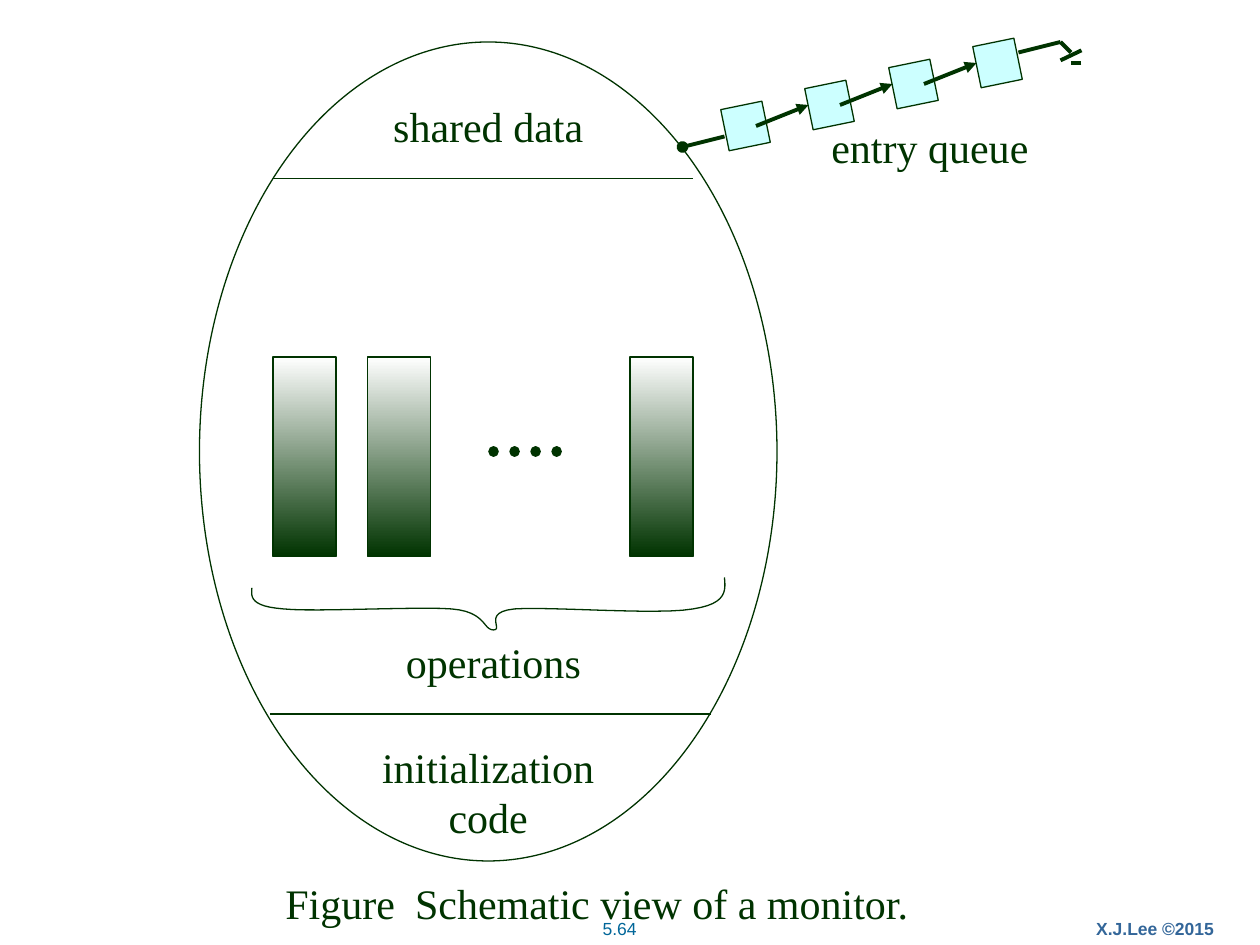
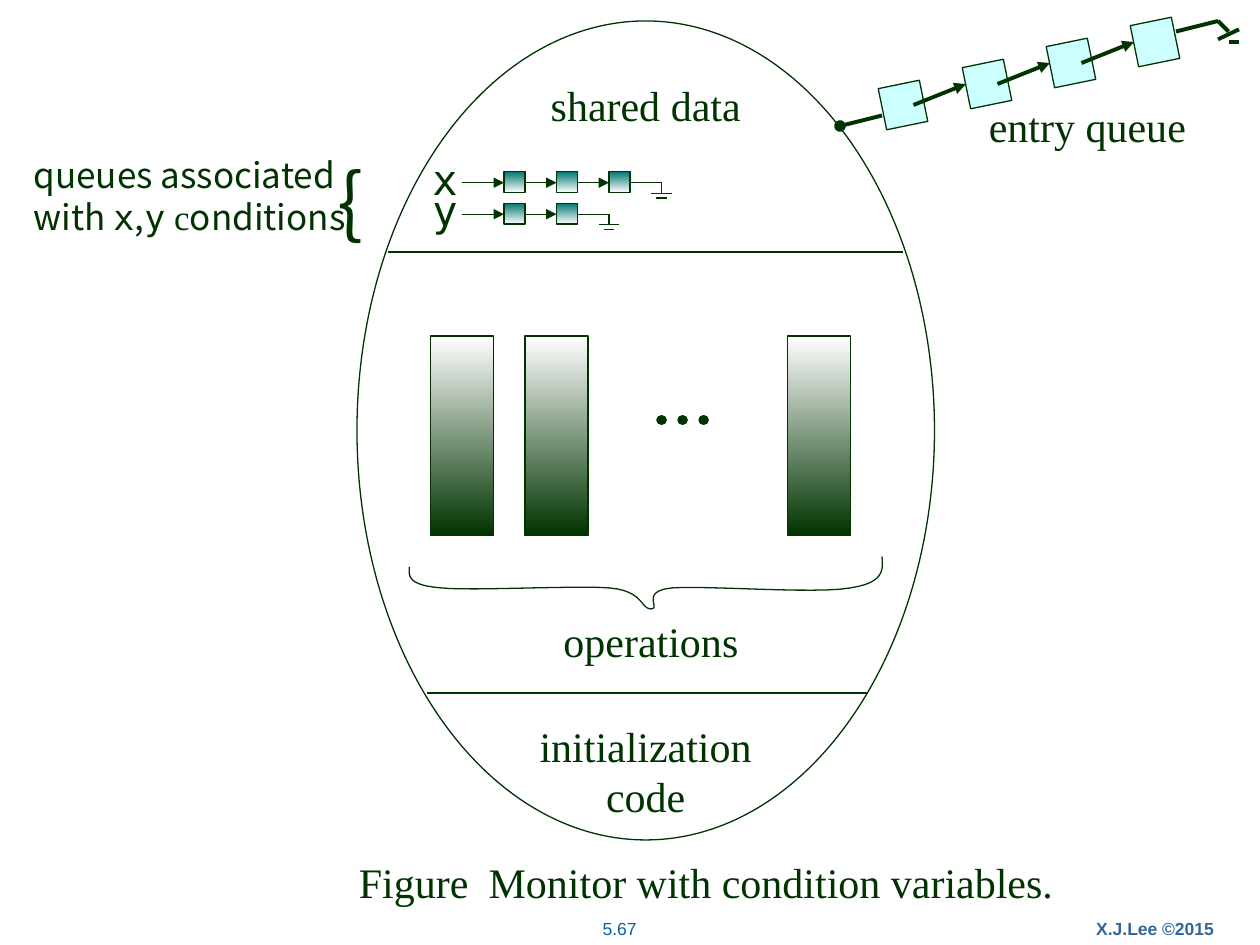
from lxml import etree
from pptx import Presentation
from pptx.dml.color import RGBColor
from pptx.enum.dml import MSO_LINE
from pptx.enum.shapes import MSO_CONNECTOR as Connector, MSO_SHAPE as Preset
from pptx.enum.text import PP_ALIGN as Align
from pptx.oxml.ns import qn
from pptx.util import Inches, Pt

GREEN = RGBColor(0x00, 0x33, 0x00)
WHITE = RGBColor(0xFF, 0xFF, 0xFF)
CYAN = RGBColor(0xCC, 0xFF, 0xFF)
TEAL = RGBColor(0x00, 0x75, 0x72)
COPYRIGHT_BLUE = RGBColor(0x33, 0x66, 0x99)
NUMBER_BLUE = RGBColor(0x00, 0x66, 0x99)

SERIF = "Times New Roman"
SANS = "Noto Sans CJK SC"
MONO = "DejaVu Sans Mono"
LABEL = {"name": SERIF, "size": Pt(24)}
FOOTER = {"name": "Arial", "size": Pt(10)}

MONITOR_SIZE = (55, 78)
BRACE_START = (5, 52)
BRACE_CURVES = [
    ((4.9, 52.9), (4.9, 53.75), (8, 54)),
    ((11.1, 54.3), (20.7, 53.75), (24, 54)),
    ((27.3, 54.25), (27, 56), (28, 56)),
    ((29, 56), (26.9, 54.3), (30, 54)),
    ((33.2, 53.75), (43.7, 54.6), (47, 54)),
    ((50.3, 53.5), (50.1, 52.2), (50, 51)),
]


def grid(*twelfths):
    return [Inches(value / 12) for value in twelfths]


def format_run(run, values, color=GREEN):
    for name, value in values.items():
        setattr(run.font, name, value)
    run.font.color.rgb = color


def add_text(slide, box, lines, values=LABEL, align=Align.LEFT, color=GREEN):
    frame = slide.shapes.add_textbox(*grid(*box)).text_frame
    frame.word_wrap = True
    for index, line in enumerate(lines):
        paragraph = frame.add_paragraph() if index else frame.paragraphs[0]
        paragraph.alignment = align
        for text, changes in ([(line, {})] if isinstance(line, str) else line):
            run = paragraph.add_run()
            run.text = text
            format_run(run, {**values, **changes}, color)
    return frame


def outline(shape):
    shape.shadow.inherit = False
    shape.line.color.rgb = GREEN
    shape.line.width = Pt(0.75)


def add_outlined(slide, preset, box, fill=None):
    shape = slide.shapes.add_shape(preset, *grid(*box))
    outline(shape)
    if fill is None:
        shape.fill.background()
    elif isinstance(fill, RGBColor):
        shape.fill.solid()
        shape.fill.fore_color.rgb = fill
    else:
        shape.fill.gradient()
        shape.fill.gradient_angle = 270
        for stop, color in zip(shape.fill.gradient_stops, fill):
            stop.color.rgb = color
    return shape


def add_line(slide, start, end, width=0.75, head=None, tail=None):
    connector = slide.shapes.add_connector(
        Connector.STRAIGHT, *grid(*start), *grid(*end))
    connector.line.color.rgb = GREEN
    connector.line.width = Pt(width)
    line = connector.get_or_add_ln()
    for tag, kind in (("a:headEnd", head), ("a:tailEnd", tail)):
        if kind:
            etree.SubElement(line, qn(tag), type=kind)
    etree.SubElement(line.getparent(), qn("a:effectLst"))
    return connector


def add_dots(slide, start, end):
    connector = add_line(slide, start, end, width=6)
    connector.line.dash_style = MSO_LINE.ROUND_DOT
    connector.get_or_add_ln().set("cap", "rnd")


def curve_points(start, curves, steps=12):
    for first, second, end in curves:
        for step in range(1, steps + 1):
            t = step / steps
            weights = ((1 - t) ** 3, 3 * t * (1 - t) ** 2, 3 * t * t * (1 - t), t ** 3)
            yield tuple(
                sum(weight * point[axis] for weight, point
                    in zip(weights, (start, first, second, end)))
                for axis in (0, 1))
        start = end


def add_operations_brace(slide, left, top):
    def place(point):
        return grid(left + point[0], top + point[1])

    builder = slide.shapes.build_freeform(*place(BRACE_START))
    builder.add_line_segments(
        [place(point) for point in curve_points(BRACE_START, BRACE_CURVES)], close=False)
    brace = builder.convert_to_shape()
    outline(brace)
    brace.fill.background()


def add_monitor(slide, left, top, divider, dots):
    def across(start, end, y):
        return (left + start, top + y), (left + end, top + y)

    add_outlined(slide, Preset.OVAL, (left, top, *MONITOR_SIZE))
    for x, y, width, height, lines in (
            (16, 5, 23, 6, ["shared data"]),
            (16, 66, 23, 10.8, ["initialization", "code"]),
            (13, 56, 30, 6, ["operations"])):
        add_text(slide, (left + x, top + y, width, height), lines, align=Align.CENTER)
    for span in (divider, (6.7, 48.7, 64)):
        add_line(slide, *across(*span))
    for x in (7, 16, 41):
        add_outlined(slide, Preset.RECTANGLE, (left + x, top + 30, 6, 19), (WHITE, GREEN))
    add_operations_brace(slide, left, top)
    add_dots(slide, *across(*dots))


def add_entry_queue(slide, left, top):
    def link(x1, y1, x2, y2, **ends):
        add_line(slide, (left + x1, top + y1), (left + x2, top + y2), 2.25, **ends)

    for index in range(4):
        process = add_outlined(
            slide, Preset.RECTANGLE, (left + 4 + 8 * index, top + 6 - 2 * index, 4, 4), CYAN)
        process.rotation = 348.4
    link(0, 10, 4, 9, head="oval")
    for index in range(3):
        x, y = 7 + 8 * index, 8 - 2 * index
        link(x, y, x + 5, y - 2, tail="triangle")
    for ground in ((32, 1, 36, 0), (36, 0, 37, 1), (36, 1.75, 38, 0.8), (38, 2, 37, 2)):
        link(*ground)
    add_text(slide, (left + 13, top + 7, 25, 6), ["entry queue"])


def add_condition_queue(slide, left, top, name, count):
    add_text(slide, (left, top, 5, 6), [name], {**LABEL, "name": MONO})
    middle = top + 3.4
    for index in range(count):
        x = left + 8 + 5 * index
        add_outlined(slide, Preset.RECTANGLE, (x, middle - 1.05, 2, 2), (TEAL, WHITE))
        start = x - 3 if index else left + 4
        add_line(slide, (start, middle), (x, middle), tail="triangle")
    end = left + 8 + 5 * count
    for x1, y1, x2, y2 in ((-3, 0, 0, 0), (0, 0, 0, 1), (-1, 1, 1, 1), (-0.5, 1.45, 0.5, 1.45)):
        add_line(slide, (end + x1, middle + y1), (end + x2, middle + y2))


def add_condition_note(slide, left, top):
    note = [("queues associated with ", {}), ("x", {"name": MONO}), (",", {}),
            ("y", {"name": MONO}), (" c", {"name": SERIF}), ("onditions", {})]
    add_text(slide, (left, top, 35, 9.2), [note], {"name": SANS, "size": Pt(20)})
    add_text(slide, (left + 29, top, 5, 10.1), ["{"], {"name": SANS, "size": Pt(44)})


def add_caption(slide, box, title):
    frame = add_text(slide, box, [f"Figure\t{title}"])
    properties = frame.paragraphs[0]._p.get_or_add_pPr()
    tabs = etree.SubElement(properties, qn("a:tabLst"))
    etree.SubElement(tabs, qn("a:tab"), pos=str(Inches(1.03)), algn="l")


def add_footer(slide, number):
    add_text(slide, (102, 86.8, 16, 3.2), ["X.J.Lee ©2015"],
             {**FOOTER, "bold": True}, Align.CENTER, COPYRIGHT_BLUE)
    add_text(slide, (54, 86.8, 10, 3.2), [number], FOOTER, Align.CENTER, NUMBER_BLUE)


def add_monitor_slide(presentation, number, caption_box, title, left, top, divider, dots):
    slide = presentation.slides.add_slide(presentation.slide_layouts[6])
    add_footer(slide, number)
    add_caption(slide, caption_box, title)
    add_monitor(slide, left, top, divider, dots)
    add_entry_queue(slide, left + 46, top)
    return slide


def main():
    presentation = Presentation()
    presentation.slide_width, presentation.slide_height = Inches(10), Inches(7.5)
    add_monitor_slide(presentation, "5.64", (26, 83, 78, 6), "Schematic view of a monitor.",
                      19, 4, divider=(7, 47, 13), dots=(28, 35, 39))
    slide = add_monitor_slide(
        presentation, "5.67", (33, 81, 70, 6), "Monitor with condition variables.",
        34, 2, divider=(3, 52, 22), dots=(29, 34, 38))
    for row, (name, count) in enumerate((("x", 3), ("y", 2))):
        add_condition_queue(slide, 40, 14 + 3 * row, name, count)
    add_condition_note(slide, 2, 14)
    presentation.save("out.pptx")


if __name__ == "__main__":
    main()
